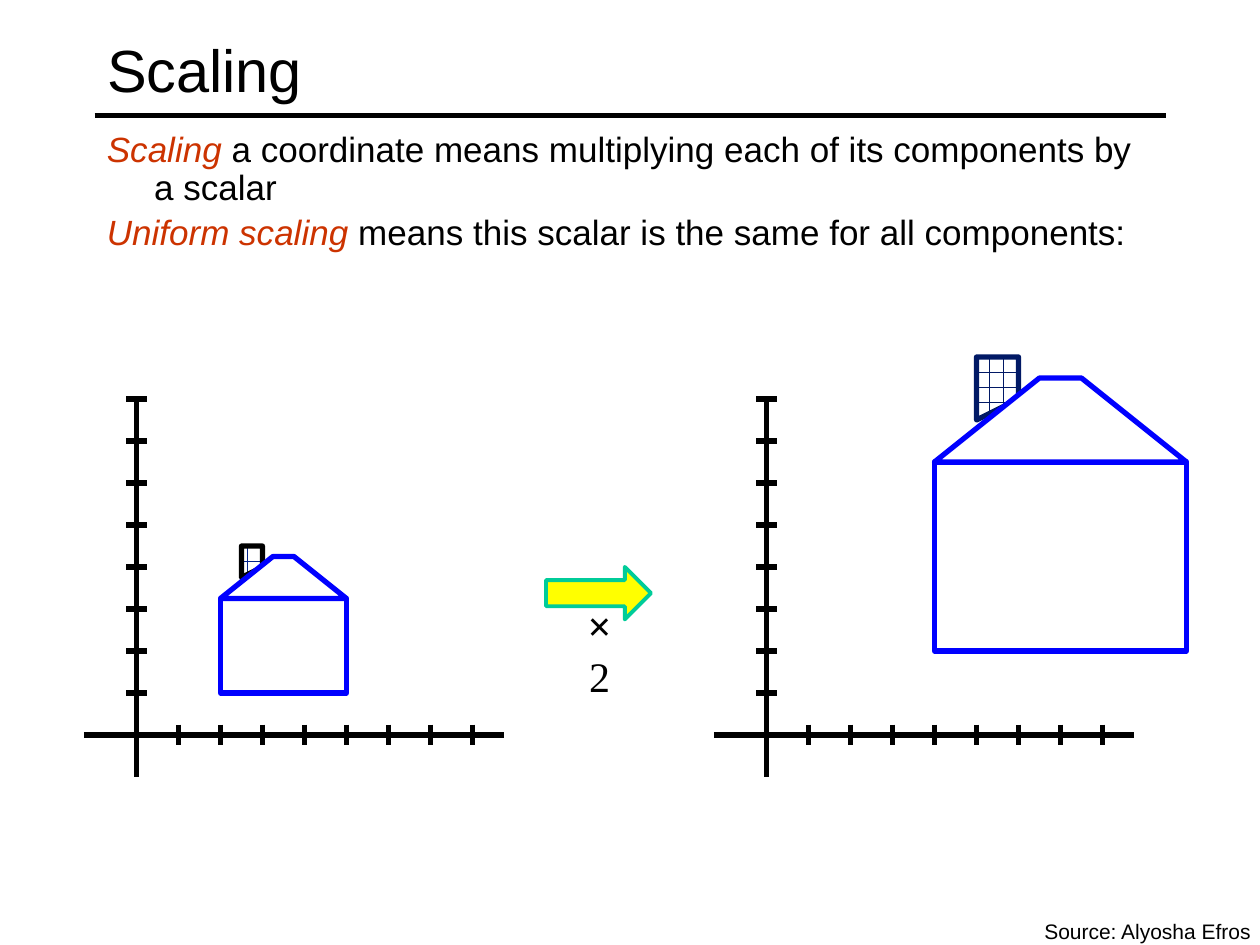
from lxml.etree import SubElement
from pptx import Presentation
from pptx.dml.color import RGBColor
from pptx.enum.dml import MSO_PATTERN
from pptx.enum.shapes import MSO_CONNECTOR, MSO_SHAPE
from pptx.enum.text import MSO_ANCHOR, PP_ALIGN
from pptx.oxml.ns import qn
from pptx.util import Pt

BLACK = RGBColor(0x00, 0x00, 0x00)
WHITE = RGBColor(0xFF, 0xFF, 0xFF)
RUST = RGBColor(0xCC, 0x33, 0x00)
BLUE = RGBColor(0x00, 0x00, 0xFF)
BRICK = RGBColor(0x03, 0x23, 0x89)
DARK_BRICK = RGBColor(0x01, 0x19, 0x65)
YELLOW = RGBColor(0xFF, 0xFF, 0x00)
TEAL = RGBColor(0x00, 0xCC, 0x99)

TITLE = "Scaling"
DEFINITIONS = [
    ("Scaling", " a coordinate means multiplying each of its components by a scalar"),
    ("Uniform scaling", " means this scalar is the same for all components:"),
]
SOURCE = "Source: Alyosha Efros"

# House corners in axis units, measured from the origin
CHIMNEY = [(2.5, 3.75), (2.5, 4.5), (3, 4.5), (3, 4)]
WALLS = (2, 1, 3, 2.25)  # left, bottom, width, height
ROOF = [(2, 3.25), (3.25, 4.25), (3.75, 4.25), (5, 3.25)]

# Origin x, house scale, brick colour, chimney outline
PLOTS = [(78, 1, BRICK, BLACK), (438, 2, DARK_BRICK, DARK_BRICK)]
ORIGIN_Y = 420
UNIT = 24
TICKS = 8
HALF_TICK = 6
THICK = 3


def add_line(shapes, x1, y1, x2, y2):
    line = shapes.add_connector(MSO_CONNECTOR.STRAIGHT, Pt(x1), Pt(y1), Pt(x2), Pt(y2))
    line.line.color.rgb = BLACK
    line.line.width = Pt(THICK)
    SubElement(line._element.spPr, qn("a:effectLst"))


def style_shape(shape, fill, outline, width=THICK):
    shape.shadow.inherit = False
    shape.fill.solid()
    shape.fill.fore_color.rgb = fill
    shape.line.color.rgb = outline
    shape.line.width = Pt(width)


def add_run(para, text, size, color=BLACK, font="Arial", bold=False, italic=False):
    span = para.add_run()
    span.text = text
    span.font.name = font
    span.font.size = Pt(size)
    span.font.color.rgb = color
    span.font.bold = bold
    span.font.italic = italic


def add_box(shapes, left, top, width, height):
    box = shapes.add_textbox(Pt(left), Pt(top), Pt(width), Pt(height))
    box.text_frame.word_wrap = True
    return box.text_frame


def add_axes(shapes, origin_x):
    add_line(shapes, origin_x, ORIGIN_Y - TICKS * UNIT, origin_x, ORIGIN_Y + UNIT)
    add_line(shapes, origin_x - 30, ORIGIN_Y, origin_x + 210, ORIGIN_Y)
    for step in range(1, TICKS + 1):
        x, y = origin_x + step * UNIT, ORIGIN_Y - step * UNIT
        add_line(shapes, x, ORIGIN_Y - HALF_TICK, x, ORIGIN_Y + HALF_TICK)
        add_line(shapes, origin_x - HALF_TICK, y, origin_x + HALF_TICK, y)


def add_house(shapes, origin_x, scale, brick, chimney_outline):
    size = scale * UNIT

    def place(x, y):
        return Pt(origin_x + x * size), Pt(ORIGIN_Y - y * size)

    def add_outline(corners, outline):
        points = [place(*corner) for corner in corners]
        builder = shapes.build_freeform(*points[0])
        builder.add_line_segments(points[1:], close=True)
        shape = builder.convert_to_shape()
        style_shape(shape, WHITE, outline)
        return shape

    chimney = add_outline(CHIMNEY, chimney_outline)
    chimney.fill.patterned()
    chimney.fill.pattern = MSO_PATTERN.HORIZONTAL_BRICK
    chimney.fill.fore_color.rgb = brick
    chimney.fill.back_color.rgb = WHITE

    left, bottom, width, height = WALLS
    walls = shapes.add_shape(MSO_SHAPE.RECTANGLE, *place(left, bottom + height),
                             Pt(width * size), Pt(height * size))
    style_shape(walls, WHITE, BLUE)
    add_outline(ROOF, BLUE)


def main():
    deck = Presentation()
    deck.slide_width, deck.slide_height = Pt(720), Pt(540)
    page = deck.slides.add_slide(deck.slide_layouts[5])
    shapes = page.shapes

    add_line(shapes, 54, 66, 666, 66)

    title = shapes.title
    title.left, title.top, title.width, title.height = Pt(54), Pt(6), Pt(612), Pt(66)
    title.text_frame.vertical_anchor = MSO_ANCHOR.MIDDLE
    para = title.text_frame.paragraphs[0]
    para.alignment = PP_ALIGN.LEFT
    add_run(para, TITLE, 34)

    frame = add_box(shapes, 54, 72, 612, 188.5)
    for index, (term, meaning) in enumerate(DEFINITIONS):
        para = frame.add_paragraph() if index else frame.paragraphs[0]
        para.line_spacing = 0.9
        para.space_before = Pt(4 if index else 0)
        properties = para._p.get_or_add_pPr()
        properties.set("marL", str(Pt(27)))
        properties.set("indent", str(Pt(-27)))
        add_run(para, term, 20, RUST, italic=True)
        add_run(para, meaning, 20)

    for origin_x, scale, brick, chimney_outline in PLOTS:
        add_axes(shapes.add_group_shape().shapes, origin_x)
        add_house(shapes.add_group_shape().shapes, origin_x, scale, brick, chimney_outline)

    arrow = shapes.add_shape(MSO_SHAPE.RIGHT_ARROW, Pt(312), Pt(324), Pt(60), Pt(30))
    style_shape(arrow, YELLOW, TEAL, 2.25)

    frame = add_box(shapes, 320.2, 353.5, 45, 36)
    frame.vertical_anchor = MSO_ANCHOR.MIDDLE
    para = frame.paragraphs[0]
    para.alignment = PP_ALIGN.CENTER
    add_run(para, "× ", 24, font="Times New Roman", bold=True)
    add_run(para, "2", 24, font="Times New Roman")

    frame = add_box(shapes, 589.7, 521.3, 201.6, 21.6)
    add_run(frame.paragraphs[0], SOURCE, 12)

    deck.save("out.pptx")


if __name__ == "__main__":
    main()
